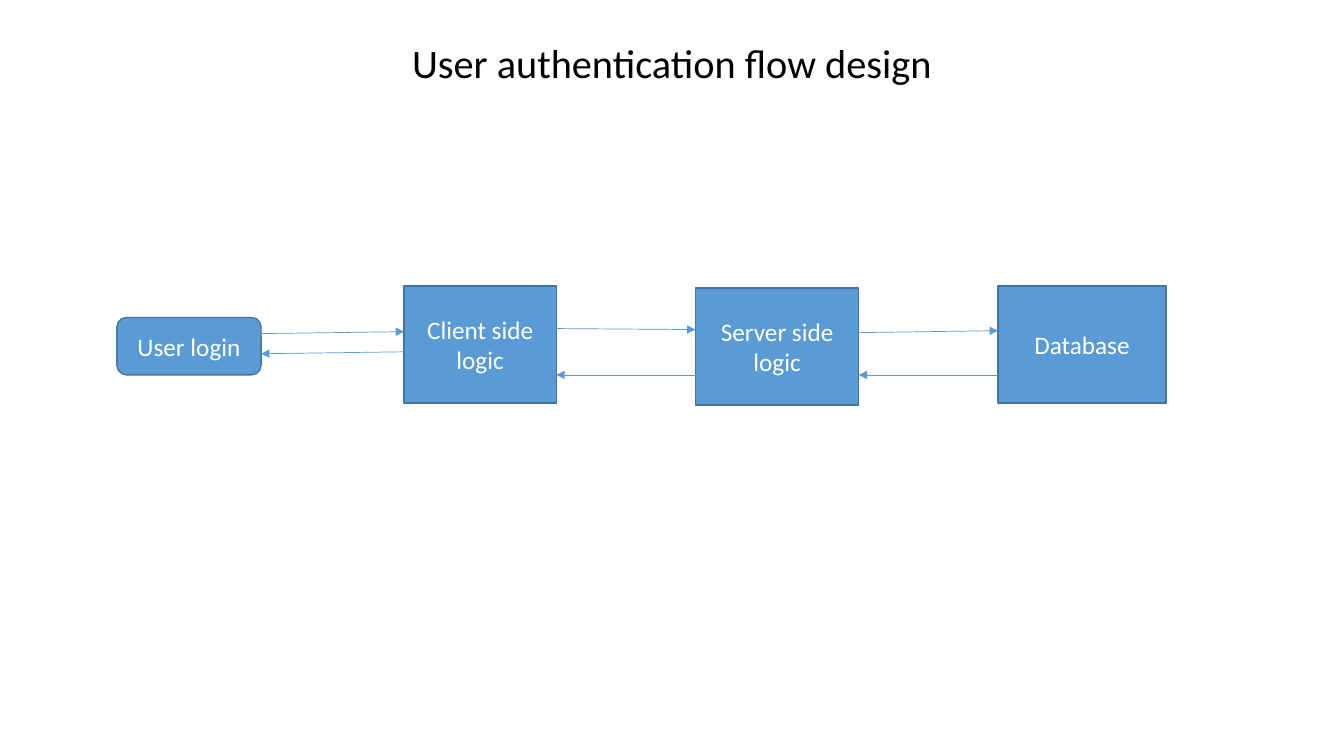
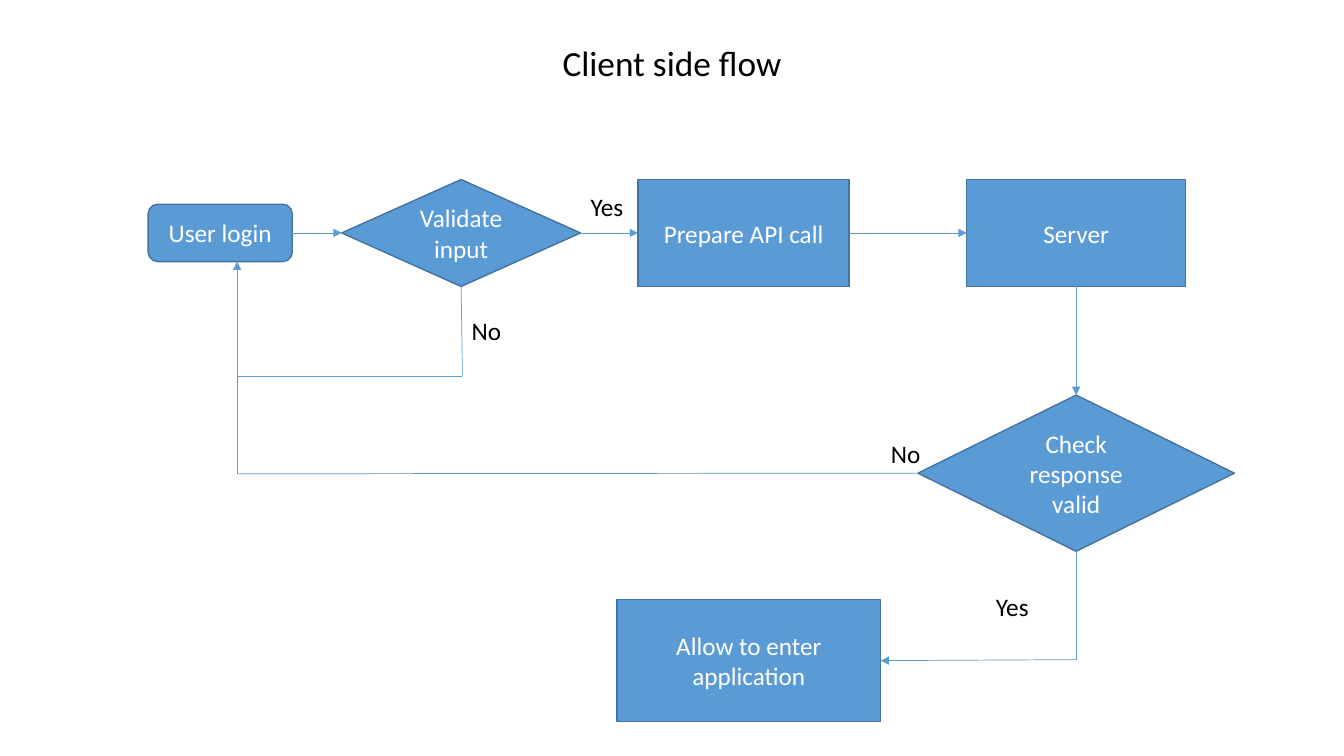
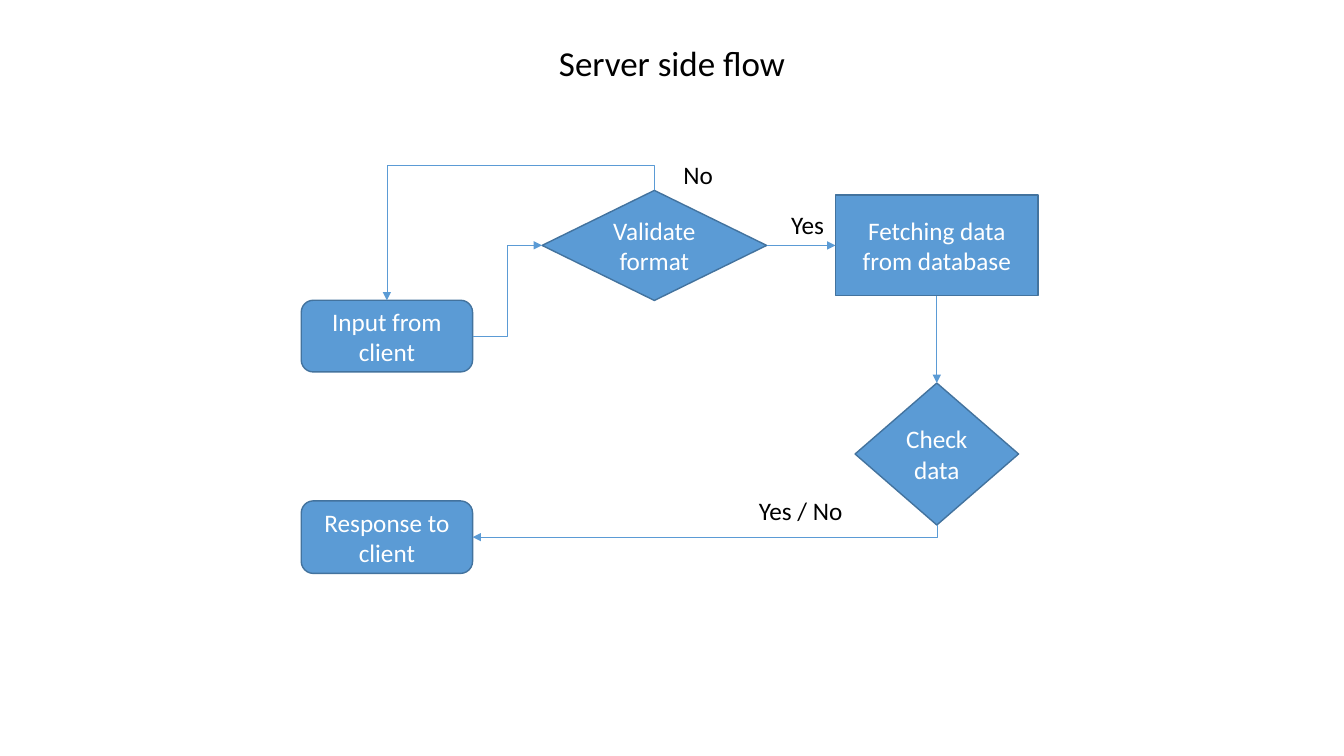
from lxml import etree
from pptx import Presentation
from pptx.dml.color import RGBColor
from pptx.enum import shapes, text
from pptx.oxml.ns import qn
from pptx.util import Pt

COLORS = {"fill": "5B9BD5", "edge": "43739E", "light": "FFFFFF", "dark": "000000"}
FONT = "Calibri"
KINDS = {
    "step": shapes.MSO_SHAPE.RECTANGLE,
    "terminal": shapes.MSO_SHAPE.ROUNDED_RECTANGLE,
    "decision": shapes.MSO_SHAPE.FLOWCHART_DECISION,
}
SIDES = ["top", "left", "bottom", "right"]
LABEL_HEIGHT = 29

SLIDES = [
    {
        "title": ("User authentication flow design", 28.8),
        "boxes": [
            ("terminal", "User login", 83.5, 226.8, 103, 41),
            ("step", "Client side logic", 288.6, 204.3, 108.8, 83.6),
            ("step", "Server side logic", 496.8, 205.8, 116.6, 83.6),
            ("step", "Database", 712.8, 204.3, 120.2, 83.6),
        ],
        "routes": [
            [("User login", "right", 238.3), ("Client side logic", "left", 236.9)],
            [("Client side logic", "right", 234.7), ("Server side logic", "left", 235.4)],
            [("Server side logic", "right", 237.6), ("Database", "left", 236.2)],
            [("Database", "left", 267.8), ("Server side logic", "right", 267.8)],
            [("Server side logic", "left", 267.8), ("Client side logic", "right", 267.8)],
            [("Client side logic", "left", 251.3), ("User login", "right", 252.7)],
        ],
    },
    {
        "title": ("Client side flow", 25.2),
        "boxes": [
            ("terminal", "User login", 105.8, 145.9, 103, 41),
            ("decision", "Validate input", 244.1, 128.2, 170.6, 76.4),
            ("step", "Prepare API call", 455.8, 128.2, 150.8, 76.4),
            ("step", "Server", 690.5, 128.2, 156.4, 76.4),
            ("decision", "Check response valid", 655.7, 282.2, 226, 111.6),
            ("step", "Allow to enter application", 440.8, 428.4, 188.2, 87),
        ],
        "routes": [
            [("User login", "right"), ("Validate input", "left")],
            [("Validate input", "right"), ("Prepare API call", "left")],
            [("Prepare API call", "right"), ("Server", "left")],
            [("Server", "bottom"), ("Check response valid", "top")],
            [("Check response valid", "bottom"), (768.7, 471.2),
             ("Allow to enter application", "right")],
            [("Check response valid", "left"), (169.4, 338.4), (169.4, 268.6),
             ("User login", "bottom", 169.4)],
        ],
        "joins": [[("Validate input", "bottom"), (330.3, 268.6), (169.4, 268.6)]],
        "labels": [
            ("No", 329.8, 221.8, 36), ("Yes", 414.7, 133.2, 38),
            ("No", 629.3, 309.6, 36), ("Yes", 704.2, 419, 38),
        ],
    },
    {
        "title": ("Server side flow", 25),
        "boxes": [
            ("terminal", "Input from client", 215.2, 214.5, 122.4, 51.2),
            ("terminal", "Response to client", 215.2, 357.8, 122.4, 51.8),
            ("decision", "Validate format", 387.2, 136, 160.4, 78.6),
            ("step", "Fetching data from database", 596.8, 139.3, 144.8, 72),
            ("decision", "Check data", 610.8, 273.6, 116.8, 101.4),
        ],
        "routes": [
            [("Validate format", "right"), ("Fetching data from database", "left")],
            [("Fetching data from database", "bottom"), ("Check data", "top")],
        ],
        "elbows": [
            (("Input from client", "right"), ("Validate format", "left"),
             {"flips": ["flipV"]}),
            (("Validate format", "top"), ("Input from client", "top"),
             {"flips": ["flipH", "flipV"], "turn": 270, "bend": -0.23}),
            (("Check data", "bottom"), ("Response to client", "right"),
             {"turn": 90, "preset": "bentConnector2"}),
        ],
        "labels": [
            ("No", 481, 110.2, 36), ("Yes", 558, 146.2, 38), ("Yes / No", 535, 350, 75),
        ],
    },
]


def rgb(name):
    return RGBColor.from_string(COLORS[name])


def write(tf, content, size=18, color="dark", align=text.PP_ALIGN.LEFT,
          anchor=text.MSO_ANCHOR.TOP, spacing=None, wrap=True,
          fit=text.MSO_AUTO_SIZE.NONE):
    tf.word_wrap = wrap
    tf.auto_size = fit
    tf.vertical_anchor = anchor
    p = tf.paragraphs[0]
    p.alignment = align
    p.line_spacing = spacing
    r = p.add_run()
    r.text = content
    r.font.size = Pt(size)
    r.font.name = FONT
    r.font.color.rgb = rgb(color)


def add_title(slide, content, size):
    sp = slide.shapes.title
    sp.left, sp.top, sp.width, sp.height = Pt(66), Pt(28.8), Pt(828), Pt(35.6)
    write(sp.text_frame, content, size=size, align=text.PP_ALIGN.CENTER,
          anchor=text.MSO_ANCHOR.MIDDLE, spacing=0.9)


def add_box(slide, kind, content, *place):
    sp = slide.shapes.add_shape(KINDS[kind], *map(Pt, place))
    sp.shadow.inherit = False
    sp.fill.solid()
    sp.fill.fore_color.rgb = rgb("fill")
    sp.line.color.rgb = rgb("edge")
    sp.line.width = Pt(1)
    write(sp.text_frame, content, color="light", align=text.PP_ALIGN.CENTER,
          anchor=text.MSO_ANCHOR.MIDDLE)
    return sp


def add_label(slide, content, left, top, width):
    sp = slide.shapes.add_textbox(Pt(left), Pt(top), Pt(width), Pt(LABEL_HEIGHT))
    write(sp.text_frame, content, wrap=False, fit=text.MSO_AUTO_SIZE.SHAPE_TO_FIT_TEXT)


def locate(boxes, end):
    if not isinstance(end[0], str):
        return Pt(end[0]), Pt(end[1])
    sp, side = boxes[end[0]], end[1]
    x, y = sp.left + sp.width // 2, sp.top + sp.height // 2
    if side in ("left", "right"):
        x = sp.left + (sp.width if side == "right" else 0)
        y = Pt(end[2]) if len(end) > 2 else y
    else:
        y = sp.top + (sp.height if side == "bottom" else 0)
        x = Pt(end[2]) if len(end) > 2 else x
    return x, y


def add_link(slide, boxes, start, stop, kind=shapes.MSO_CONNECTOR.STRAIGHT, arrow=True):
    c = slide.shapes.add_connector(kind, *locate(boxes, start), *locate(boxes, stop))
    for end, connect in ((start, c.begin_connect), (stop, c.end_connect)):
        if len(end) == 2 and isinstance(end[0], str):
            connect(boxes[end[0]], SIDES.index(end[1]))
    c.line.color.rgb = rgb("fill")
    c.line.width = Pt(0.5)
    if arrow:
        etree.SubElement(c.line._get_or_add_ln(), qn("a:tailEnd"), type="triangle")
    etree.SubElement(c._element.spPr, qn("a:effectLst"))
    return c


def add_route(slide, boxes, ends, arrow=True):
    last = len(ends) - 2
    for i, (start, stop) in enumerate(zip(ends, ends[1:])):
        add_link(slide, boxes, start, stop, arrow=arrow and i == last)


def add_elbow(slide, boxes, start, stop, flips=(), turn=0, bend=0.5,
              preset="bentConnector3"):
    c = add_link(slide, boxes, start, stop, shapes.MSO_CONNECTOR.ELBOW)
    (x1, y1), (x2, y2) = locate(boxes, start), locate(boxes, stop)
    w, h = abs(x2 - x1), abs(y2 - y1)
    if turn in (90, 270):
        w, h = h, w
    c.left, c.top = (x1 + x2 - w) // 2, (y1 + y2 - h) // 2
    c.width, c.height = w, h
    xfrm = c._element.spPr.find(qn("a:xfrm"))
    for name in ("flipH", "flipV"):
        xfrm.set(name, "1" if name in flips else "0")
    xfrm.set("rot", str(turn * 60000))
    geom = c._element.spPr.find(qn("a:prstGeom"))
    geom.set("prst", preset)
    if preset == "bentConnector3":
        guides = geom.find(qn("a:avLst"))
        if guides is None:
            guides = etree.SubElement(geom, qn("a:avLst"))
        etree.SubElement(guides, qn("a:gd"), name="adj1",
                         fmla=f"val {round(bend * 100000)}")


def main():
    prs = Presentation()
    prs.slide_width, prs.slide_height = Pt(960), Pt(540)
    for page in SLIDES:
        slide = prs.slides.add_slide(prs.slide_layouts[5])
        add_title(slide, *page["title"])
        boxes = {box[1]: add_box(slide, *box) for box in page["boxes"]}
        for ends in page["routes"]:
            add_route(slide, boxes, ends)
        for ends in page.get("joins", []):
            add_route(slide, boxes, ends, arrow=False)
        for start, stop, bends in page.get("elbows", []):
            add_elbow(slide, boxes, start, stop, **bends)
        for label in page.get("labels", []):
            add_label(slide, *label)
    prs.save("out.pptx")


if __name__ == "__main__":
    main()
